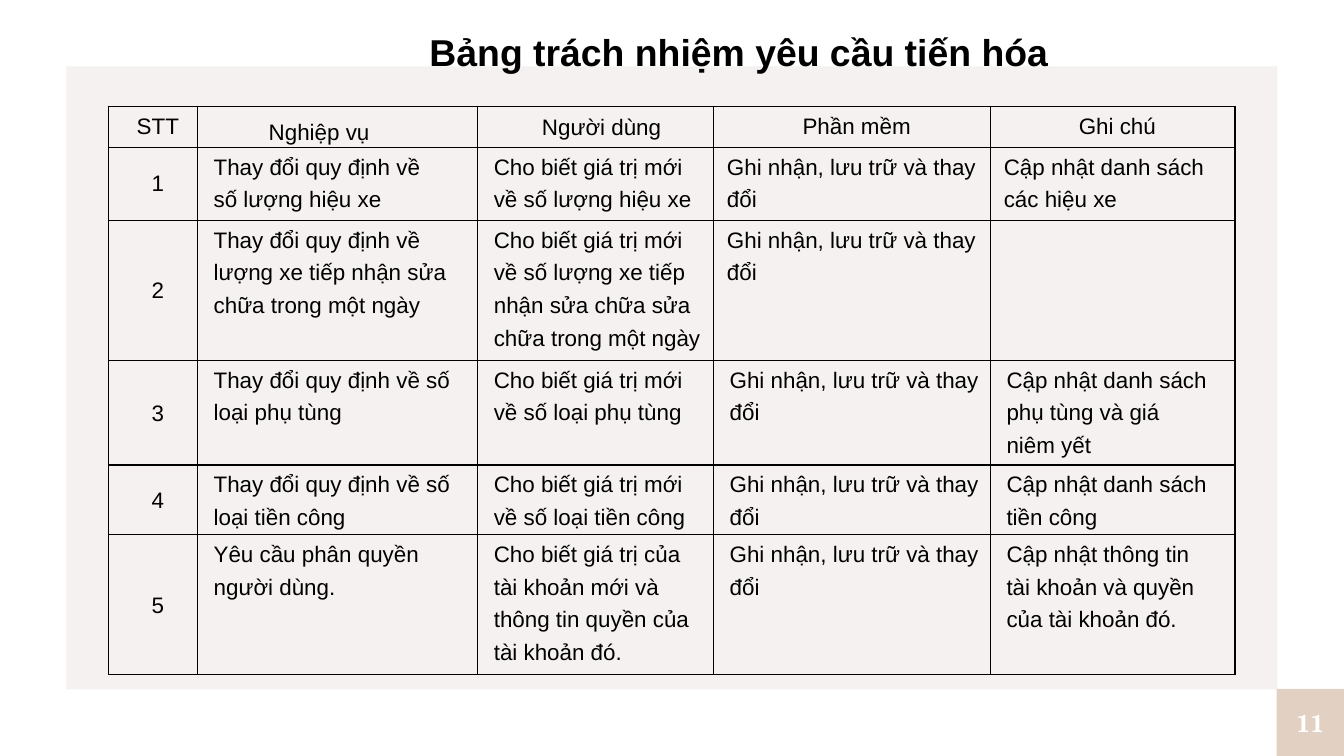
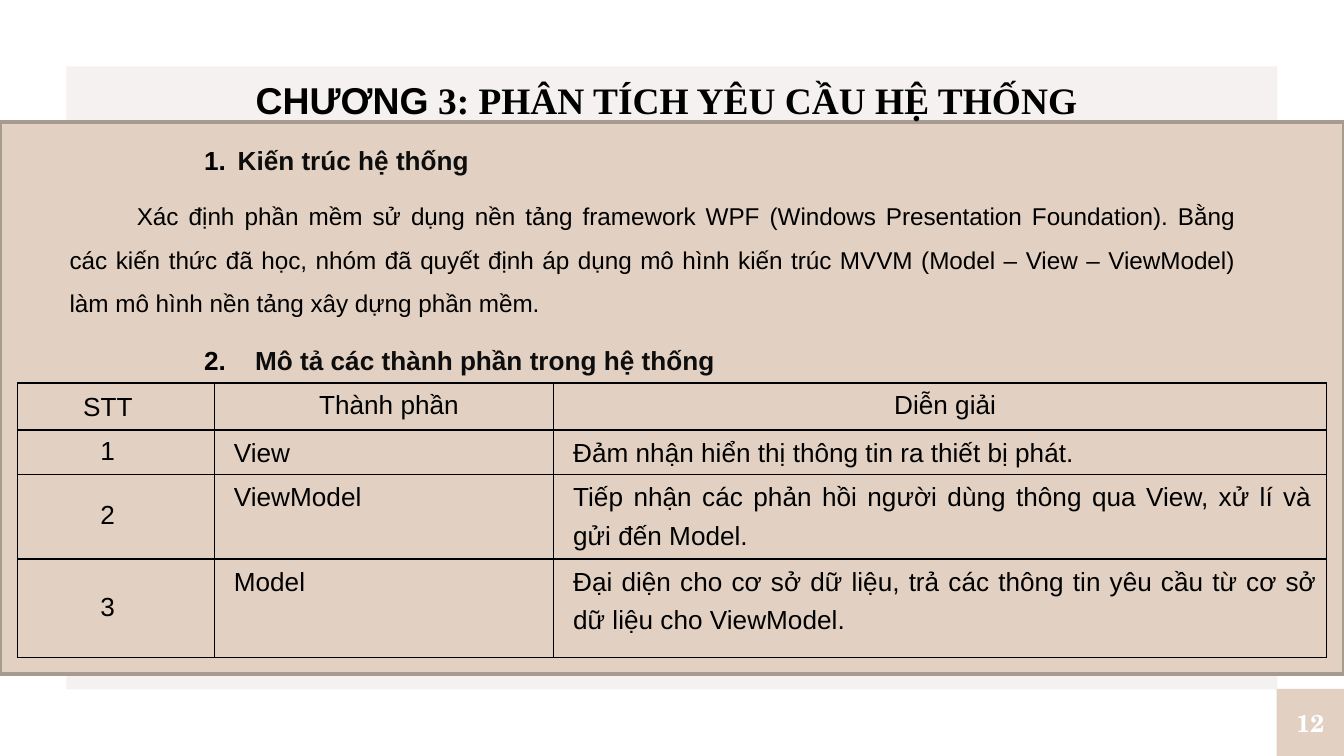
from lxml.etree import SubElement
from pptx import Presentation
from pptx.dml.color import RGBColor
from pptx.enum.shapes import MSO_SHAPE as Shape
from pptx.enum.text import MSO_ANCHOR as Anchor, MSO_AUTO_SIZE as Fit, PP_ALIGN as Align
from pptx.oxml import parse_xml
from pptx.oxml.ns import nsdecls, qn
from pptx.util import Pt

SCALE = 4572
WIDE, HIGH = 2000, 1125
SANS, SERIF, SCHOOL = "Arial", "Times New Roman", "TeX Gyre Schola"
BLACK = RGBColor(0x00, 0x00, 0x00)
INK = RGBColor(0x0D, 0x0D, 0x0D)
WHITE = RGBColor(0xFF, 0xFF, 0xFF)
PAPER = RGBColor(0xF5, 0xF1, 0xF0)
SAND = RGBColor(0xE2, 0xD1, 0xC2)
EDGE = RGBColor(0xA7, 0x9B, 0x90)
FIXED = Pt(14.8)

DUTIES = [
    ["STT", "Nghiệp vụ", "Người dùng", "Phần mềm", "Ghi chú"],
    ["1", "Thay đổi quy định về số lượng hiệu xe",
     "Cho biết giá trị mới về số lượng hiệu xe",
     "Ghi nhận, lưu trữ và thay đổi", "Cập nhật danh sách các hiệu xe"],
    ["2", "Thay đổi quy định về lượng xe tiếp nhận sửa chữa trong một ngày",
     "Cho biết giá trị mới về số lượng xe tiếp nhận sửa chữa sửa chữa trong một ngày",
     "Ghi nhận, lưu trữ và thay đổi", ""],
    ["3", "Thay đổi quy định về số\nloại phụ tùng",
     "Cho biết giá trị mới về số loại phụ tùng",
     "Ghi nhận, lưu trữ và thay đổi", "Cập nhật danh sách phụ tùng và giá\nniêm yết"],
    ["4", "Thay đổi quy định về số\nloại tiền công",
     "Cho biết giá trị mới về số loại tiền công",
     "Ghi nhận, lưu trữ và thay đổi", "Cập nhật danh sách tiền công"],
    ["5", "Yêu cầu phân quyền người dùng.",
     "Cho biết giá trị của tài khoản mới và thông tin quyền của\ntài khoản đó.",
     "Ghi nhận, lưu trữ và thay đổi",
     "Cập nhật thông tin tài khoản và quyền của tài khoản đó."],
]
PARTS = [
    ["STT", "Thành phần", "Diễn giải"],
    ["1", "View", "Đảm nhận hiển thị thông tin ra thiết bị phát."],
    ["2", "ViewModel",
     "Tiếp nhận các phản hồi người dùng thông qua View, xử lí và gửi đến Model."],
    ["3", "Model",
     "Đại diện cho cơ sở dữ liệu, trả các thông tin yêu cầu từ cơ sở dữ liệu cho ViewModel."],
]
INTRO = ("Xác định phần mềm sử dụng nền tảng framework WPF (Windows Presentation Foundation). "
         "Bằng các kiến thức đã học, nhóm đã quyết định áp dụng mô hình kiến trúc MVVM "
         "(Model – View – ViewModel) làm mô hình nền tảng xây dựng phần mềm.")


def px(*sizes):
    """Turn px lengths into EMU."""
    return [size * SCALE for size in sizes]


def style(para, size, font=SANS, color=BLACK, bold=False):
    """Format every run of a paragraph."""
    for run in para.runs:
        run.font.size, run.font.name, run.font.bold = Pt(size), font, bold
        run.font.color.rgb = color


def lay(para, align, left=0, first=0, right=0, lines=None, before=None, after=None):
    """Set alignment, indents and spacing of a paragraph."""
    para.alignment = align
    props = para._p.get_or_add_pPr()
    for name, size in (("marL", left), ("marR", right), ("indent", first)):
        props.set(name, str(size * SCALE))
    if lines:
        para.line_spacing = lines
    if before is not None:
        para.space_before = Pt(before)
    if after is not None:
        para.space_after = Pt(after)


def count(para, start):
    """Number a paragraph from the given start."""
    props = para._p.get_or_add_pPr()
    tint = SubElement(props, qn("a:buClr"))
    SubElement(tint, qn("a:srgbClr")).set("val", str(BLACK))
    mark = SubElement(props, qn("a:buAutoNum"))
    mark.set("type", "arabicPeriod")
    mark.set("startAt", str(start))


def block(slide, kind, box, fill, line=None):
    """Add a flat filled shape."""
    shape = slide.shapes.add_shape(kind, *px(*box))
    shape.shadow.inherit = False
    shape.fill.solid()
    shape.fill.fore_color.rgb = fill
    if line:
        shape.line.color.rgb, shape.line.width = line, Pt(2)
    else:
        shape.line.fill.background()
    return shape


def back(deck, slide):
    """Put the paper colour and white frame on the master."""
    master = deck.slide_master
    master.background.fill.solid()
    master.background.fill.fore_color.rgb = PAPER
    frame = block(slide, Shape.FRAME, (0, 0, WIDE, HIGH), WHITE)
    frame.adjustments[0] = 0.088
    master.shapes.element.insert(2, frame.element)


def badge(slide, number):
    """Draw the page number in the lower right corner."""
    side = 100
    shape = block(slide, Shape.RECTANGLE, (WIDE - side, HIGH - side, side, side), SAND)
    frame = shape.text_frame
    frame.margin_left = frame.margin_right = frame.margin_top = frame.margin_bottom = 0
    frame.vertical_anchor = Anchor.MIDDLE
    frame.text = str(number)
    lay(frame.paragraphs[0], Align.CENTER)
    style(frame.paragraphs[0], 13, SCHOOL, WHITE, True)


def head(slide, box, texts, **space):
    """Place the title in front, with one run for each text and font."""
    title = slide.shapes.title
    slide.shapes.element.append(title.element)
    title.left, title.top, title.width, title.height = px(*box)
    frame = title.text_frame
    frame.word_wrap, frame.auto_size = True, Fit.NONE
    frame.vertical_anchor = Anchor.TOP
    para = frame.paragraphs[0]
    for text, font in texts:
        para.add_run().text = text
    style(para, 20, bold=True)
    for run, (text, font) in zip(para.runs, texts):
        run.font.name = font
    lay(para, Align.CENTER, lines=1.5, **space)


def rule(cell):
    """Clear the fill of a cell and draw its four borders."""
    cell.fill.background()
    props = cell._tc.get_or_add_tcPr()
    for spot, side in enumerate("LRTB"):
        props.insert(spot, parse_xml(
            f'<a:ln{side} {nsdecls("a")} w="9525"><a:solidFill>'
            f'<a:srgbClr val="{BLACK}"/></a:solidFill></a:ln{side}>'))


def grid(slide, spot, cols, rows, data, size, pad, look):
    """Draw a ruled table; look gives the paragraph layout of each cell."""
    box = (*spot, sum(cols), sum(rows))
    table = slide.shapes.add_table(len(rows), len(cols), *px(*box)).table
    table.first_row = table.horz_banding = False
    for col, width in zip(table.columns, px(*cols)):
        col.width = width
    for row, height in zip(table.rows, px(*rows)):
        row.height = height
    for r, line in enumerate(data):
        for c, text in enumerate(line):
            cell = table.cell(r, c)
            rule(cell)
            cell.margin_left = cell.margin_right = pad * SCALE
            cell.margin_top = cell.margin_bottom = 0
            cell.vertical_anchor = Anchor.TOP if r and c else Anchor.MIDDLE
            cell.text_frame.text = text
            for para in cell.text_frame.paragraphs:
                lay(para, **look(r, c))
                style(para, size)


def duty(r, c):
    """Give the layout of a cell in the duty table."""
    right = {(0, 1): 73, (1, 1): 73, (5, 4): 28}.get((r, c), 0)
    if r == 0:
        return dict(align=Align.CENTER, left=18 if c in (1, 2) else 14, right=right,
                    lines={1: 1.5, 2: FIXED}.get(c))
    if c == 0:
        return dict(align=Align.CENTER, left=14, lines=FIXED if r > 2 else None)
    left = 14 if c > 2 and r < 3 else 18
    return dict(align=Align.LEFT, left=left, right=right, lines=1.3)


def part(r, c):
    """Give the layout of a cell in the component table."""
    if r == c == 0:
        return dict(align=Align.CENTER, left=4, first=-10, right=24, lines=1.05)
    if r and c:
        return dict(align=Align.JUSTIFY, left=15, right=8 if r == c == 2 else 0, lines=1.3)
    return dict(align=Align.CENTER, left=15, right=0 if c else 40, lines=FIXED)


def prose(slide, box):
    """Write the numbered headings and the paragraph between them."""
    frame = slide.shapes.add_textbox(*px(*box)).text_frame
    frame.word_wrap = True
    frame.text = "\n".join(["Kiến trúc hệ thống", INTRO, "Mô tả các thành phần trong hệ thống"])
    first, body, second = frame.paragraphs
    for start, (para, left, hang) in enumerate([(first, 250, -50), (second, 276, -76)], 1):
        para.level = 1
        lay(para, Align.JUSTIFY, left, hang, lines=1.5, before=6, after=6)
        count(para, start)
        style(para, 14, color=INK, bold=True)
    lay(body, Align.JUSTIFY, first=100, lines=1.5)
    style(body, 13)


def tasks(slide):
    """Build the slide of duties."""
    badge(slide, 11)
    head(slide, (0, 0, WIDE, 108), [("Bảng trách nhiệm yêu cầu tiến hóa", SANS)],
         left=200, before=6, after=6)
    grid(slide, (162, 158), [132, 417, 351, 412, 364],
         [61, 109, 208, 156, 104, 208], DUTIES, 12, 6, duty)


def design(slide):
    """Build the slide of the system design."""
    block(slide, Shape.RECTANGLE, (0, 181, WIDE, 822), SAND, EDGE)
    badge(slide, 12)
    head(slide, (84, 72, 1816, 110),
         [("CHƯƠNG", SANS), (" 3: PHÂN TÍCH YÊU CẦU HỆ THỐNG", SERIF)], before=12)
    prose(slide, (84, 181, 1772, 664))
    grid(slide, (26, 570), [293, 505, 1150], [70, 66, 126, 146], PARTS, 14, 14, part)


def main():
    """Build and save the deck."""
    deck = Presentation()
    deck.slide_width, deck.slide_height = px(WIDE, HIGH)
    plain = deck.slide_layouts[5]
    slides = [deck.slides.add_slide(plain) for build in (tasks, design)]
    back(deck, slides[0])
    tasks(slides[0])
    design(slides[1])
    deck.save("out.pptx")


if __name__ == "__main__":
    main()
